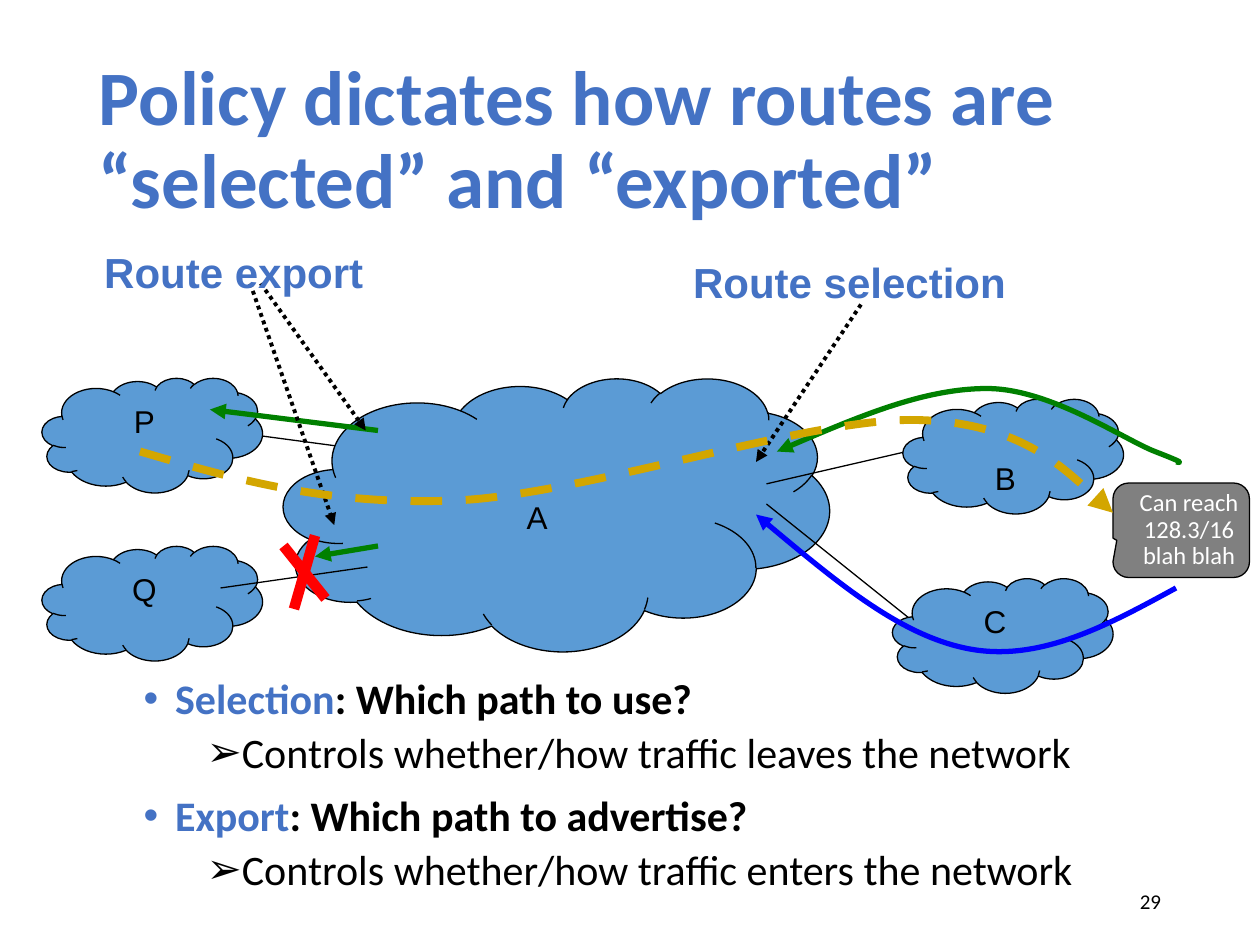
from dataclasses import dataclass
from typing import Any, Optional

import pptx
import pptx.dml.color
import pptx.enum.dml
import pptx.enum.shapes
import pptx.enum.text
import pptx.oxml
import pptx.oxml.ns
import pptx.util

Pt = pptx.util.Pt
ALIGN = pptx.enum.text.PP_ALIGN
ANCHOR = pptx.enum.text.MSO_ANCHOR
DASH = pptx.enum.dml.MSO_LINE
SHAPE = pptx.enum.shapes.MSO_SHAPE
qn = pptx.oxml.ns.qn

COLORS = {
    "accent": "4472C4", "cloud": "5B9BD5", "black": "000000", "white": "FFFFFF",
    "gray": "808080", "green": "008000", "red": "FF0000", "blue": "0000FF", "gold": "D3A600",
}
SMALL_CLOUD = (126, 65.5)
LETTER_LINE = 20.7


@dataclass
class Cloud:
    name: str
    left: float
    top: float
    size: tuple[float, float] = SMALL_CLOUD
    lines_down: int = 0


@dataclass
class Line:
    """Two points make a straight line; more are cubic curve points."""
    points: list[tuple[float, float]]
    color: str = "black"
    width: float = 0.75
    arrow: bool = False
    dash: Optional[Any] = None


def rgb(name: str) -> pptx.dml.color.RGBColor:
    return pptx.dml.color.RGBColor.from_string(COLORS[name])


def add_child(parent: Any, tag: str, **attributes: str) -> Any:
    child = parent.makeelement(qn(tag), attributes)
    parent.append(child)
    return child


def write(shape: Any, paragraphs: list, *, size: float, font: str = "Calibri",
          color: str = "black", bold: bool = False, align: Any = ALIGN.LEFT,
          anchor: Any = ANCHOR.TOP, spacing: float = 1.0, wrap: bool = True,
          margin_top: float = 3.6) -> Any:
    """Each paragraph is a string or a list of (text, color, bold) runs."""
    frame = shape.text_frame
    frame.word_wrap = wrap
    frame.vertical_anchor = anchor
    frame.margin_top = Pt(margin_top)
    for index, content in enumerate(paragraphs):
        paragraph = frame.paragraphs[0] if index == 0 else frame.add_paragraph()
        paragraph.alignment = align
        paragraph.line_spacing = spacing
        runs = [(content, color, bold)] if isinstance(content, str) else content
        for text, run_color, run_bold in runs:
            run = paragraph.add_run()
            run.text = text
            run.font.name = font
            run.font.size = Pt(size)
            run.font.bold = run_bold
            run.font.color.rgb = rgb(run_color)
    return frame


def add_text(slide: Any, box: tuple, paragraphs: list, **text_format: Any) -> Any:
    shape = slide.shapes.add_textbox(*map(Pt, box))
    write(shape, paragraphs, **text_format)
    return shape


def add_filled(slide: Any, kind: Any, box: tuple, color: str) -> Any:
    shape = slide.shapes.add_shape(kind, *map(Pt, box))
    shape.shadow.inherit = False
    shape.fill.solid()
    shape.fill.fore_color.rgb = rgb(color)
    shape.line.color.rgb = rgb("black")
    shape.line.width = Pt(0.75)
    return shape


def add_cloud(slide: Any, cloud: Cloud) -> None:
    shape = add_filled(slide, SHAPE.CLOUD, (cloud.left, cloud.top, *cloud.size), "cloud")
    write(shape, [cloud.name], size=18, font="Arial", align=ALIGN.CENTER,
          margin_top=3.6 + LETTER_LINE * cloud.lines_down)


def add_curve(slide: Any, points: list) -> Any:
    start, *rest = [(Pt(x), Pt(y)) for x, y in points]
    builder = slide.shapes.build_freeform(*start)
    builder.add_line_segments(rest, close=False)
    shape = builder.convert_to_shape()
    shape.shadow.inherit = False
    shape.fill.background()
    # Every three line points become one cubic segment
    outline = next(shape.element.iter(qn("a:path")))
    steps = outline.findall(qn("a:lnTo"))
    for first in range(0, len(steps), 3):
        cubic = add_child(outline, "a:cubicBezTo")
        for step in steps[first:first + 3]:
            cubic.append(step[0])
            outline.remove(step)
    return shape


def add_line(slide: Any, line: Line) -> None:
    if len(line.points) == 2:
        (x1, y1), (x2, y2) = line.points
        straight = pptx.enum.shapes.MSO_CONNECTOR.STRAIGHT
        shape = slide.shapes.add_connector(straight, Pt(x1), Pt(y1), Pt(x2), Pt(y2))
    else:
        shape = add_curve(slide, line.points)
    shape.line.color.rgb = rgb(line.color)
    shape.line.width = Pt(line.width)
    if line.dash is not None:
        shape.line.dash_style = line.dash
    if line.arrow:
        add_child(shape.line._get_or_add_ln(), "a:tailEnd", type="triangle")
    if len(line.points) == 2:
        add_child(shape.element.spPr, "a:effectLst")


def add_bullet(paragraph: Any, character: str, indent: float, before: float) -> None:
    paragraph.space_before = Pt(before)
    properties = paragraph._p.get_or_add_pPr()
    properties.set("marL", str(Pt(indent)))
    properties.set("indent", str(Pt(-18)))
    add_child(properties, "a:buFont", typeface="Arial")
    add_child(properties, "a:buChar", char=character)


def dotted(start: tuple, end: tuple) -> Line:
    return Line([start, end], width=2.25, arrow=True, dash=DASH.ROUND_DOT)


# Networks and the links between them, from back to front
NETWORK = [
    Line([(216, 258), (126, 246)]),
    Cloud("A", 162, 216, (312, 156), 2),
    Cloud("P", 24, 216),
    Line([(438, 276.5), (516, 258.5)]),
    Line([(438, 288), (528, 360)]),
    Cloud("C", 510, 330.5),
    Cloud("B", 516, 228, lines_down=1),
    Cloud("Q", 24, 312),
    Line([(210, 324), (126, 336)]),
]
# Announcements, the blocked export and the label pointers
ROUTES = [
    Line([(216, 246), (120, 234)], "green", 3, True),
    Line([(162, 312), (186, 342)], "red", 6),
    Line([(180, 306), (168, 348)], "red", 6),
    Line([(216, 312), (180, 318)], "green", 3, True),
    Line([(672, 264), (675, 264.5), (678, 265), (660, 258), (642, 251), (600, 222),
          (564, 222), (528, 222), (486, 240), (444, 258)], "green", 3, True),
    Line([(672, 336), (633.5, 357), (595, 378), (555, 371), (515, 364), (474, 329),
          (432, 294)], "blue", 3, True),
    dotted((492, 174), (432, 264)),
    dotted((149, 162), (209, 246)),
    dotted((143, 162), (191, 300)),
]
TRAFFIC = Line([(80, 258), (133, 273.5), (186, 289), (260, 286), (333.5, 283), (460, 239),
                (523, 240), (585.5, 241), (636, 293), (636, 293)],
               "gold", 4.5, True, DASH.DASH)
POLICIES = [("Selection", "use", "leaves"), ("Export", "advertise", "enters")]


def add_all(slide: Any, items: list) -> None:
    for item in items:
        if isinstance(item, Cloud):
            add_cloud(slide, item)
        else:
            add_line(slide, item)


presentation = pptx.Presentation()
presentation.slide_width, presentation.slide_height = Pt(720), Pt(540)
slide = presentation.slides.add_slide(presentation.slide_layouts[6])

# Title
add_text(slide, (49.5, 29, 621, 104),
         ["Policy dictates how routes are “selected” and “exported”"],
         size=44, color="accent", bold=True, anchor=ANCHOR.MIDDLE, spacing=0.9)

# Policy list
policy_lines = []
for policy, action, direction in POLICIES:
    policy_lines.append([(policy, "accent", True), (f": Which path to {action}?", "black", True)])
    policy_lines.append(f"Controls whether/how traffic {direction} the network")
body = add_text(slide, (75, 384, 570, 150), policy_lines, size=24, spacing=0.9)
for index, paragraph in enumerate(body.text_frame.paragraphs):
    add_bullet(paragraph, *(("➢", 54, 5) if index % 2 else ("•", 18, 10)))

# Callout
callout = add_filled(slide, SHAPE.ROUNDED_RECTANGULAR_CALLOUT, (636, 276, 78, 54), "gray")
for index, value in enumerate((-0.472, 0.107, 0.167)):
    callout.adjustments[index] = value
add_text(slide, (621, 259, 117, 70.5), ["Can reach 128.3/16", "blah blah"], size=14,
         color="white", align=ALIGN.CENTER, spacing=0.9, margin_top=21.2)

# Diagram and its labels
label_format = dict(size=24, font="Arial", color="accent", bold=True, wrap=False)
selection = add_text(slide, (389, 143, 194, 37), ["Route selection"], **label_format)
selection.fill.solid()
selection.fill.fore_color.rgb = rgb("white")
add_all(slide, NETWORK + ROUTES)
add_text(slide, (52.5, 137.5, 163.5, 37), ["Route export"], **label_format)
add_line(slide, TRAFFIC)

# Slide number
add_text(slide, (508.5, 500.5, 162, 29), ["29"], size=12, align=ALIGN.RIGHT,
         anchor=ANCHOR.MIDDLE)

presentation.save("out.pptx")
